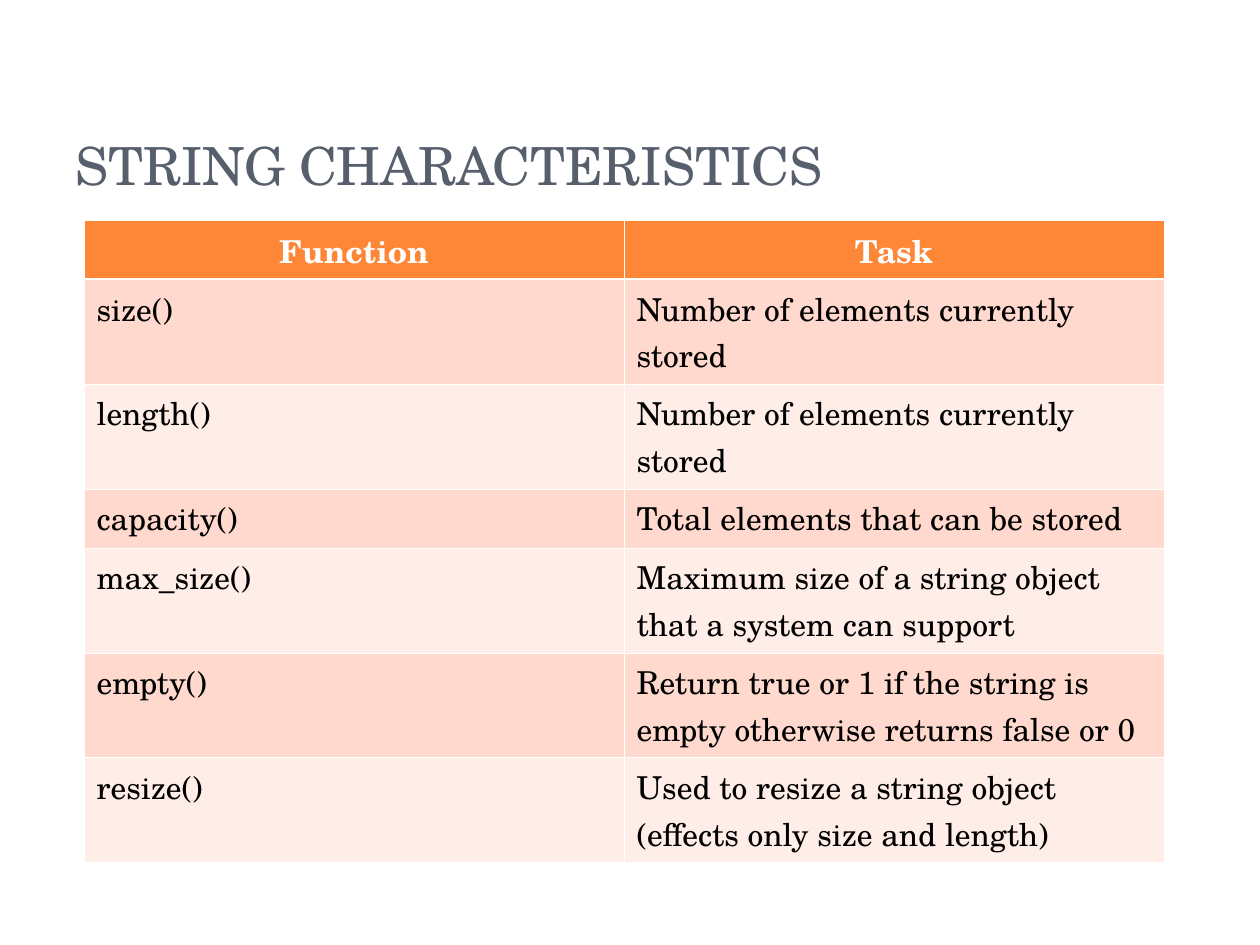
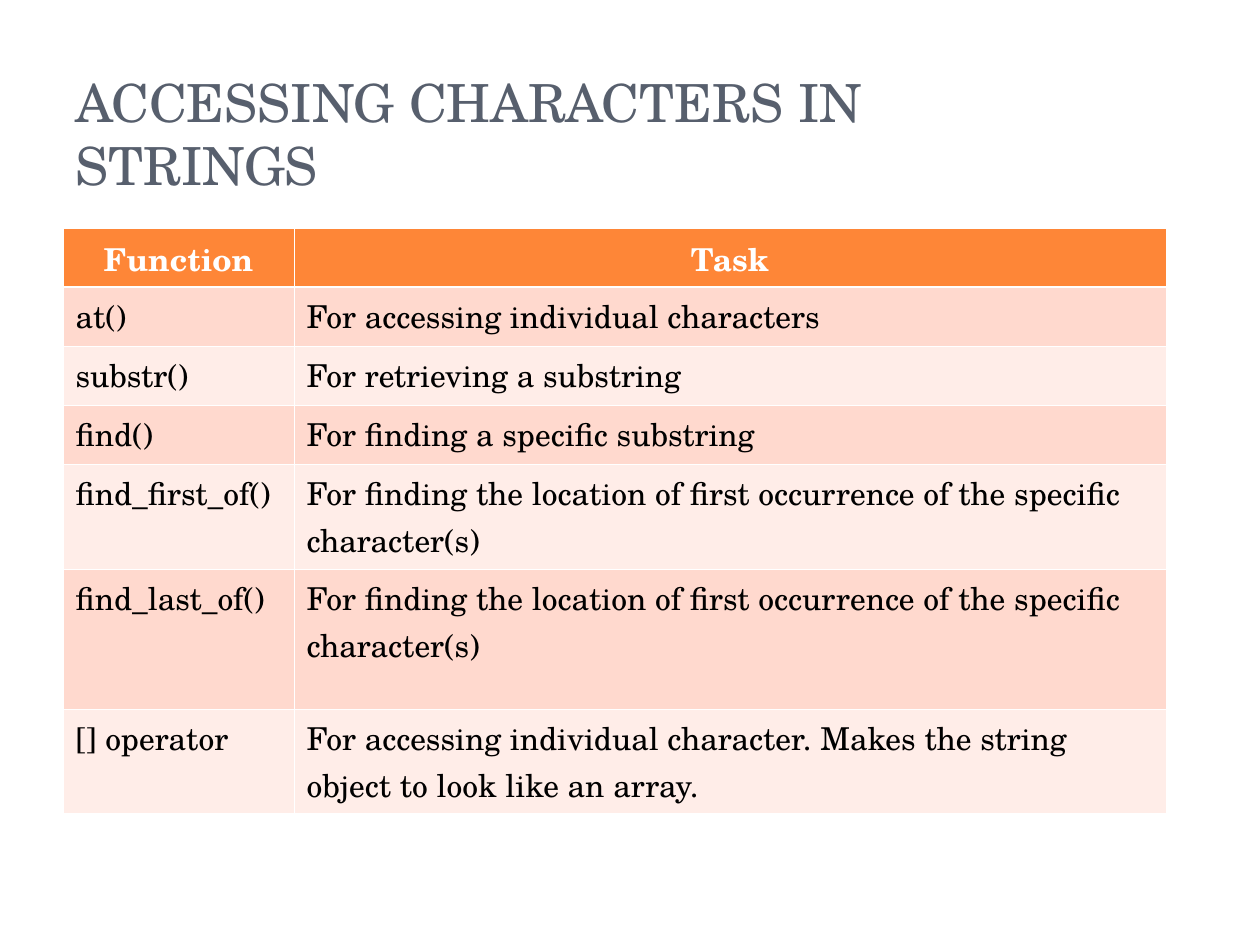
"""Build two slides that list string functions in banded tables."""
from lxml import etree
from pptx import Presentation
from pptx.dml.color import RGBColor
from pptx.enum.text import MSO_ANCHOR, PP_ALIGN
from pptx.oxml.ns import qn
from pptx.util import Pt

BOTTOM = MSO_ANCHOR.BOTTOM
LEFT, CENTER = PP_ALIGN.LEFT, PP_ALIGN.CENTER
SLATE = RGBColor(0x57, 0x5F, 0x6D)
ORANGE = RGBColor(0xFE, 0x86, 0x37)
PINK = RGBColor(0xFF, 0xD9, 0xCE)
PALE = RGBColor(0xFF, 0xED, 0xE8)
WHITE = RGBColor(0xFF, 0xFF, 0xFF)
BLACK = RGBColor(0x00, 0x00, 0x00)
FONT = "TeX Gyre Schola"
THIN, THICK = Pt(0.45), Pt(1.47)
HEAD = ("Function", "Task", 59)

PAGES = [
    ("STRING CHARACTERISTICS", 84, 220, (540, 540), [
        HEAD,
        ("size()", "Number of elements currently stored", 105),
        ("length()", "Number of elements currently stored", 105),
        ("capacity()", "Total elements that can be stored", 59),
        ("max_size()", "Maximum size of a string object that a system can support", 105),
        ("empty()", "Return true or 1 if the string is empty otherwise returns false or 0", 105),
        ("resize()", "Used to resize a string object (effects only size and length)", 105),
    ]),
    ("ACCESSING CHARACTERS IN STRINGS", 63, 228, (231, 872), [
        HEAD,
        ("at()", "For accessing individual characters", 59),
        ("substr()", "For retrieving a substring", 59),
        ("find()", "For finding a specific substring", 59),
        ("find_first_of()", "For finding the location of first occurrence of the specific character(s)", 105),
        ("find_last_of()", "For finding the location of first occurrence of the specific character(s)", 140),
        ("[] operator", "For accessing individual character. Makes the string object to look like an array.", 105),
    ]),
]


def px(num):
    return round(num * 914400 / 126)


def style(para, size, color, bold=False):
    for run in para.runs:
        run.font.name = FONT
        run.font.size = Pt(size)
        run.font.bold = bold
        run.font.color.rgb = color


deck = Presentation()
deck.slide_width, deck.slide_height = px(1260), px(945)

for title, left, top, cols, rows in PAGES:
    slide = deck.slides.add_slide(deck.slide_layouts[6])
    frame = slide.shapes.add_textbox(px(63), px(38), px(1029), px(158)).text_frame
    frame.word_wrap = True
    frame.vertical_anchor = BOTTOM
    frame.margin_bottom = 0
    frame.text = title
    frame.paragraphs[0].line_spacing = Pt(36)
    style(frame.paragraphs[0], 30, SLATE)

    high = sum(row[-1] for row in rows)
    table = slide.shapes.add_table(len(rows), len(cols), px(left), px(top),
                                   px(sum(cols)), px(high)).table
    for col, wide in zip(table.columns, cols):
        col.width = px(wide)
    for r, (*texts, tall) in enumerate(rows):
        table.rows[r].height = px(tall)
        for c, text in enumerate(texts):
            cell = table.cell(r, c)
            cell.text = text
            para = cell.text_frame.paragraphs[0]
            para.alignment = LEFT if r else CENTER
            style(para, 18, BLACK if r else WHITE, r == 0)
            cell.fill.solid()
            cell.fill.fore_color.rgb = (PINK if r % 2 else PALE) if r else ORANGE
            props = cell._tc.get_or_add_tcPr()
            for spot, side in enumerate("LRTB"):
                thick = (r, side) in ((0, "B"), (1, "T"))
                line = etree.Element(qn("a:ln" + side), w=str(THICK if thick else THIN))
                fill = etree.SubElement(line, qn("a:solidFill"))
                etree.SubElement(fill, qn("a:srgbClr"), val=str(WHITE))
                props.insert(spot, line)

deck.save("out.pptx")
